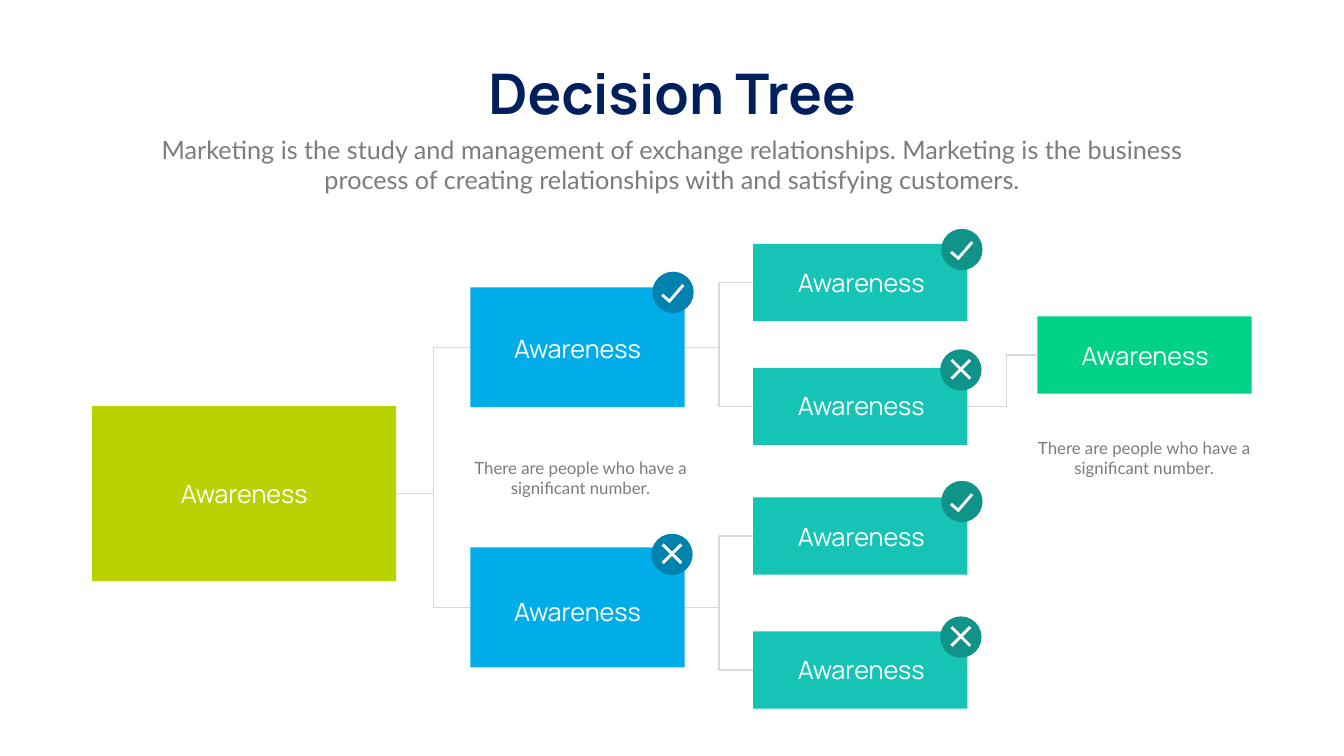
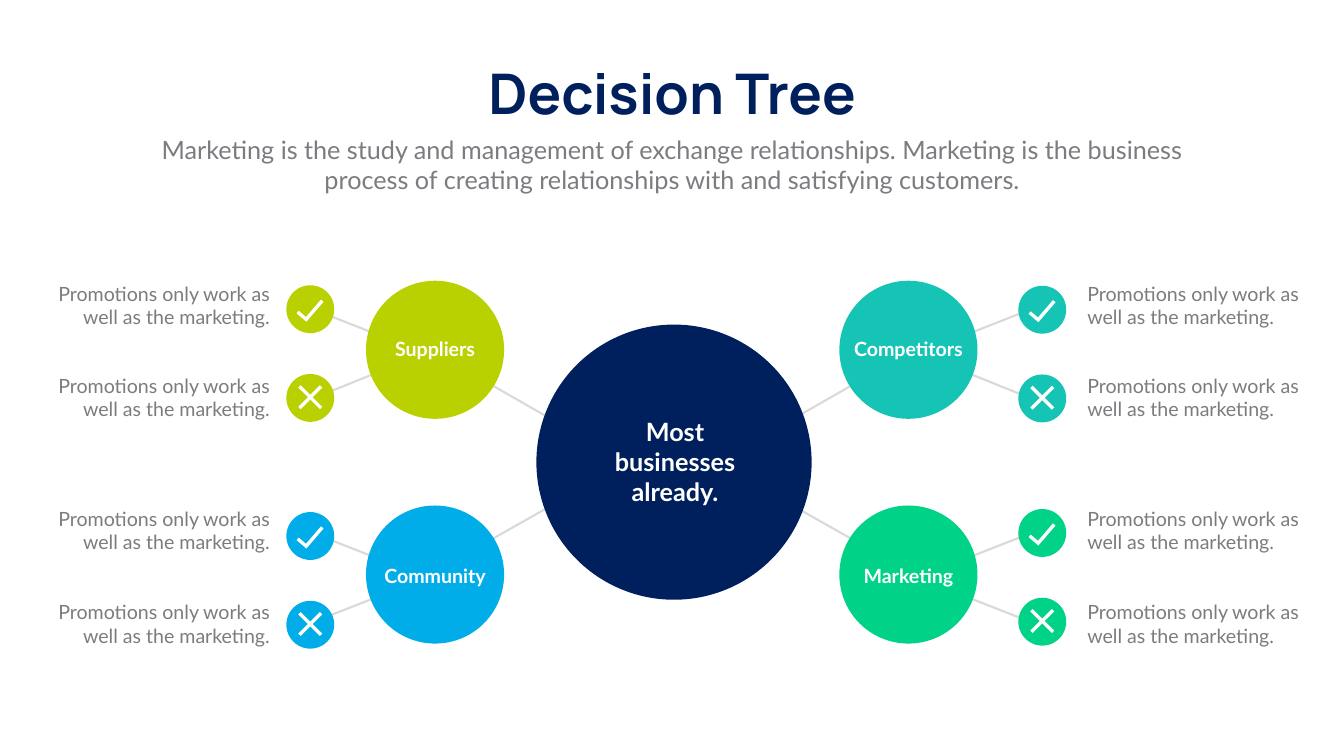
from dataclasses import dataclass
from typing import Optional

from lxml import etree
from pptx import Presentation
from pptx.dml.color import RGBColor
from pptx.enum.shapes import MSO_CONNECTOR, MSO_SHAPE
from pptx.enum.text import MSO_AUTO_SIZE, PP_ALIGN
from pptx.oxml.ns import qn
from pptx.shapes.autoshape import Shape
from pptx.shapes.connector import Connector
from pptx.slide import Slide
from pptx.util import Inches, Pt

RECTANGLE, OVAL = MSO_SHAPE.RECTANGLE, MSO_SHAPE.OVAL
STRAIGHT, ELBOW = MSO_CONNECTOR.STRAIGHT, MSO_CONNECTOR.ELBOW
LEFT, CENTER, RIGHT = PP_ALIGN.LEFT, PP_ALIGN.CENTER, PP_ALIGN.RIGHT
GROW = MSO_AUTO_SIZE.SHAPE_TO_FIT_TEXT
RIGHT_SIDE, LEFT_SIDE = 3, 1

NAVY = RGBColor(0x00, 0x20, 0x5D)
GRAY = RGBColor(0x7D, 0x7B, 0x7F)
RULE = RGBColor(0xD9, 0xD9, 0xD9)
WHITE = RGBColor(0xFF, 0xFF, 0xFF)
LIME = RGBColor(0xB9, 0xD1, 0x00)
BLUE = RGBColor(0x00, 0xAD, 0xE9)
DARK_BLUE = RGBColor(0x00, 0x82, 0xAF)
TEAL = RGBColor(0x16, 0xC4, 0xB6)
DARK_TEAL = RGBColor(0x10, 0x93, 0x88)
GREEN = RGBColor(0x00, 0xD2, 0x87)

HEADING_FONT, BODY_FONT = "Manrope", "Lato"
SLIDE_WIDTH, SLIDE_HEIGHT = 26.66, 15
TITLE = "Decision Tree"
INTRO = (
    "Marketing is the study and management of exchange relationships. Marketing is the "
    "business process of creating relationships with and satisfying customers."
)
STEP = "Awareness"
STEP_NOTE = "There are people who have a significant number."
OUTCOME_NOTE = "Promotions only work as well as the marketing."


@dataclass(frozen=True)
class Box:
    """Left, top, width and height in inches."""

    left: float
    top: float
    width: float
    height: float

    def emu(self) -> tuple[int, int, int, int]:
        """Return the four lengths for python-pptx."""
        return Inches(self.left), Inches(self.top), Inches(self.width), Inches(self.height)


@dataclass(frozen=True)
class Badge:
    """A round yes or no mark."""

    left: float
    top: float
    accepted: bool


@dataclass(frozen=True)
class Step:
    """A rectangle of the tree with its label position."""

    box: Box
    color: RGBColor
    label_left: float
    label_top: float
    badge: Optional[Badge] = None
    badge_color: Optional[RGBColor] = None


@dataclass(frozen=True)
class Branch:
    """A link between two steps, with its bend as a share of the width."""

    parent: str
    child: str
    bend: float = 0.5


@dataclass(frozen=True)
class Hub:
    """A coloured circle with a yes and a no outcome."""

    label: str
    left: float
    top: float
    label_top: float
    color: RGBColor
    badge_left: float
    badge_top: float


STEPS = {
    "root": Step(Box(1.83, 8.06, 6.03, 3.47), LIME, 3.17, 9.44),
    "yes": Step(Box(9.33, 5.7, 4.25, 2.38), BLUE, 9.78, 6.56,
                Badge(12.94, 5.39, True), DARK_BLUE),
    "no": Step(Box(9.33, 10.86, 4.25, 2.38), BLUE, 9.78, 11.78,
               Badge(12.92, 10.59, False), DARK_BLUE),
    "yes-yes": Step(Box(14.94, 4.84, 4.25, 1.53), TEAL, 15.41, 5.26,
                    Badge(18.67, 4.54, True), DARK_TEAL),
    "yes-no": Step(Box(14.94, 7.3, 4.25, 1.53), TEAL, 15.41, 7.7,
                   Badge(18.65, 6.93, False), DARK_TEAL),
    "no-yes": Step(Box(14.94, 9.87, 4.25, 1.53), TEAL, 15.41, 10.3,
                   Badge(18.67, 9.54, True), DARK_TEAL),
    "no-no": Step(Box(14.94, 12.53, 4.25, 1.53), TEAL, 15.41, 12.94,
                  Badge(18.65, 12.23, False), DARK_TEAL),
    "result": Step(Box(20.58, 6.28, 4.25, 1.53), GREEN, 21.04, 6.7),
}
BRANCHES = [
    Branch("root", "yes"),
    Branch("root", "no"),
    Branch("yes", "yes-yes"),
    Branch("yes", "yes-no"),
    Branch("no", "no-yes"),
    Branch("no", "no-no"),
    Branch("yes-no", "result", 0.56),
]
STEP_NOTES = [Box(9.03, 9.03, 4.97, 0.91), Box(20.21, 8.64, 4.97, 0.91)]

HUBS = [
    Hub("Suppliers", 7.26, 5.57, 6.63, LIME, 5.68, 5.66),
    Hub("Community", 7.26, 10.03, 11.14, BLUE, 5.68, 10.16),
    Hub("Competitors", 16.65, 5.57, 6.63, TEAL, 20.2, 5.67),
    Hub("Marketing", 16.65, 10.03, 11.14, GREEN, 20.2, 10.1),
]
HUB_SIZE, HUB_BADGE_SIZE, STEP_BADGE_SIZE = 2.74, 0.95, 0.82
BADGE_PITCH = 1.76
SPOKES = [
    (15.72, 8.32, 16.87, 7.66),
    (15.72, 10.03, 16.87, 10.68),
    (19.22, 7.41, 20.39, 7.88),
    (19.22, 11.86, 20.39, 12.32),
    (19.22, 11.06, 20.39, 10.6),
    (19.22, 6.62, 20.39, 6.16),
]
OUTCOME_TOPS = [5.54, 7.36, 10, 11.86]
OUTCOME_SIDES = [(0.93, RIGHT), (21.47, LEFT)]


def add_text(slide: Slide, box: Box, text: str, *, size: float, color: RGBColor = GRAY,
             font: str = BODY_FONT, bold: bool = False, align: PP_ALIGN = CENTER,
             wrap: bool = True) -> None:
    """Add a one-paragraph text box."""
    frame = slide.shapes.add_textbox(*box.emu()).text_frame
    frame.word_wrap = wrap
    frame.auto_size = GROW
    paragraph = frame.paragraphs[0]
    paragraph.alignment = align
    run = paragraph.add_run()
    run.text = text
    run.font.name = font
    run.font.size = Pt(size)
    run.font.bold = bold
    run.font.color.rgb = color


def paint(shape: Shape, color: RGBColor) -> None:
    """Give a shape a flat fill without outline or shadow."""
    shape.shadow.inherit = False
    shape.fill.solid()
    shape.fill.fore_color.rgb = color
    shape.line.fill.background()


def add_flat(slide: Slide, kind: MSO_SHAPE, box: Box, color: RGBColor,
             rotation: float = 0) -> Shape:
    """Add a flat preset shape."""
    shape = slide.shapes.add_shape(kind, *box.emu())
    paint(shape, color)
    shape.rotation = rotation
    return shape


def add_tick(slide: Slide, badge: Badge, size: float) -> None:
    """Draw a tick as a turned L."""
    width, height, stroke = 0.55, 0.27, 0.07
    corners = [(0, 0), (stroke, 0), (stroke, height - stroke), (width, height - stroke),
               (width, height), (0, height)]
    points = [(Inches(badge.left + (0.22 + x) * size), Inches(badge.top + (0.33 + y) * size))
              for x, y in corners]
    builder = slide.shapes.build_freeform(*points[0])
    builder.add_line_segments(points[1:], close=True)
    tick = builder.convert_to_shape()
    paint(tick, WHITE)
    tick.rotation = 310.7


def add_badge(slide: Slide, badge: Badge, size: float, color: RGBColor) -> None:
    """Draw a round badge with a tick or a cross."""
    add_flat(slide, OVAL, Box(badge.left, badge.top, size, size), color)
    if badge.accepted:
        add_tick(slide, badge, size)
        return
    bar = Box(badge.left + 0.18 * size, badge.top + 0.45 * size, 0.64 * size, 0.07 * size)
    for rotation in (315, 45):
        add_flat(slide, RECTANGLE, bar, WHITE, rotation)


def style_connector(connector: Connector, weight: float) -> None:
    """Give a connector the rule colour and no shadow."""
    connector.line.color.rgb = RULE
    connector.line.width = Pt(weight)
    etree.SubElement(connector._element.spPr, qn("a:effectLst"))


def add_branch(slide: Slide, parent: Shape, child: Shape, bend: float) -> None:
    """Join the right side of one step to the left side of another."""
    connector = slide.shapes.add_connector(ELBOW, 0, 0, 0, 0)
    connector.begin_connect(parent, RIGHT_SIDE)
    connector.end_connect(child, LEFT_SIDE)
    style_connector(connector, 2)
    if bend != 0.5:
        adjustments = connector._element.spPr.find(qn("a:prstGeom")).find(qn("a:avLst"))
        etree.SubElement(adjustments, qn("a:gd"), name="adj1", fmla=f"val {round(bend * 100000)}")


def add_spoke(slide: Slide, x1: float, y1: float, x2: float, y2: float) -> None:
    """Draw a straight line between two points."""
    connector = slide.shapes.add_connector(
        STRAIGHT, Inches(x1), Inches(y1), Inches(x2), Inches(y2))
    style_connector(connector, 3)


def add_titled_slide(deck: Presentation) -> Slide:
    """Add a blank slide with the shared title and introduction."""
    slide = deck.slides.add_slide(deck.slide_layouts[6])
    add_text(slide, Box(9.38, 1.12, 7.91, 1.45), TITLE, size=80, color=NAVY,
             font=HEADING_FONT, bold=True, wrap=False)
    add_text(slide, Box(2.92, 2.61, 20.82, 1.31), INTRO, size=36)
    return slide


def build_tree(deck: Presentation) -> None:
    """Build the left-to-right tree of steps."""
    slide = add_titled_slide(deck)
    boxes = {key: add_flat(slide, RECTANGLE, step.box, step.color)
             for key, step in STEPS.items()}
    for branch in BRANCHES:
        add_branch(slide, boxes[branch.parent], boxes[branch.child], branch.bend)
    for step in STEPS.values():
        add_text(slide, Box(step.label_left, step.label_top, 3.35, 0.71), STEP,
                 size=36, color=WHITE, font=HEADING_FONT)
        if step.badge:
            add_badge(slide, step.badge, STEP_BADGE_SIZE, step.badge_color)
    for box in STEP_NOTES:
        add_text(slide, box, STEP_NOTE, size=24)


def build_hubs(deck: Presentation) -> None:
    """Build the central circle with four hubs and their outcomes."""
    slide = add_titled_slide(deck)
    for x1, y1, x2, y2 in SPOKES:
        add_spoke(slide, x1, y1, x2, y2)
        add_spoke(slide, SLIDE_WIDTH - x1, y1, SLIDE_WIDTH - x2, y2)
    add_flat(slide, OVAL, Box(10.64, 6.44, 5.46, 5.46), NAVY)
    add_text(slide, Box(11.75, 8.21, 3.28, 1.92), "Most businesses already.",
             size=36, color=WHITE, bold=True)
    for hub in HUBS:
        add_flat(slide, OVAL, Box(hub.left, hub.top, HUB_SIZE, HUB_SIZE), hub.color)
        add_text(slide, Box(hub.left - 0.08, hub.label_top, 2.9, 0.57), hub.label,
                 size=28, color=WHITE, bold=True)
        for offset, accepted in ((0, True), (BADGE_PITCH, False)):
            badge = Badge(hub.badge_left, hub.badge_top + offset, accepted)
            add_badge(slide, badge, HUB_BADGE_SIZE, hub.color)
    for left, align in OUTCOME_SIDES:
        for top in OUTCOME_TOPS:
            add_text(slide, Box(left, top, 4.52, 1.04), OUTCOME_NOTE, size=28, align=align)


def main() -> None:
    """Build and save the deck."""
    deck = Presentation()
    deck.slide_width, deck.slide_height = Inches(SLIDE_WIDTH), Inches(SLIDE_HEIGHT)
    build_tree(deck)
    build_hubs(deck)
    deck.save("out.pptx")


if __name__ == "__main__":
    main()
